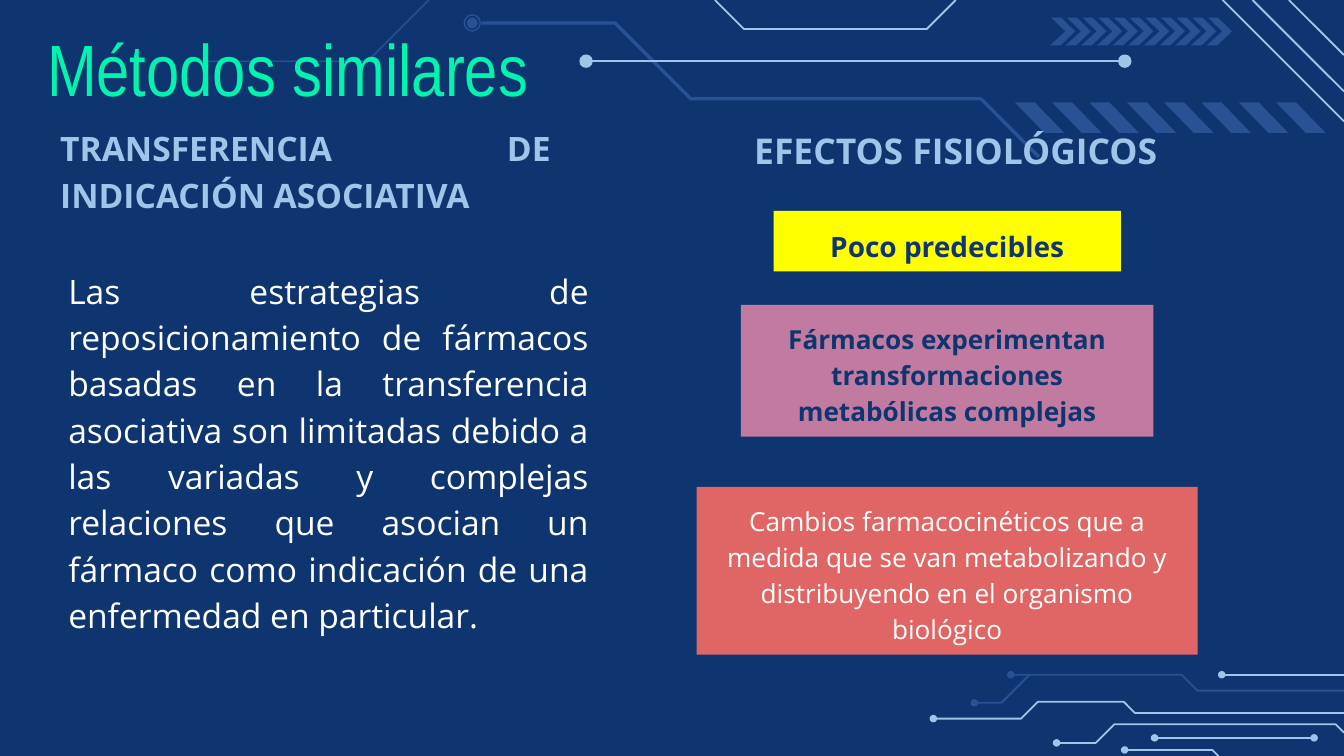
"""Build the slide "Métodos similares" on a circuit-board background."""
import pptx
import pptx.dml.color
import pptx.enum.shapes
import pptx.enum.text
import pptx.oxml.ns
import pptx.util
from lxml import etree

Pt = pptx.util.Pt
ALIGN = pptx.enum.text.PP_ALIGN
ANCHOR = pptx.enum.text.MSO_ANCHOR
FIT = pptx.enum.text.MSO_AUTO_SIZE
SHAPES = pptx.enum.shapes.MSO_SHAPE

COLORS = {
    "navy": "0F3570", "blue": "285293", "sky": "9FC5E8", "green": "00F4AD",
    "white": "FFFFFF", "yellow": "FFFF00", "mauve": "C27BA0", "coral": "E06666",
}


class CircuitSlide:
    """Holds the style and the current slide."""

    def __init__(self, deck):
        """Add a slide with a plain navy background."""
        self.slide = deck.slides.add_slide(deck.slide_layouts[5])
        self.paint(self.slide.background.fill, "navy")

    def rgb(self, color):
        """Return the named colour."""
        return pptx.dml.color.RGBColor.from_string(COLORS[color])

    def paint(self, fill, color):
        """Make a fill solid in the named colour."""
        fill.solid()
        fill.fore_color.rgb = self.rgb(color)

    def stroke(self, line, color, width):
        """Set the colour and width of a line."""
        self.paint(line.fill, color)
        line.width = Pt(width)

    def set_text(self, shape, text, color, size, align, font="Open Sans", bold=False,
                 inset=7.2, anchor=ANCHOR.TOP, fit=FIT.SHAPE_TO_FIT_TEXT, spacing=1.15):
        """Put one formatted paragraph into a shape."""
        frame = shape.text_frame
        frame.text = text
        paragraph = frame.paragraphs[0]
        margins = dict.fromkeys(
            ("margin_left", "margin_top", "margin_right", "margin_bottom"), Pt(inset))
        formats = [
            (frame, {"word_wrap": True, "auto_size": fit, "vertical_anchor": anchor, **margins}),
            (paragraph, {"alignment": align, "line_spacing": spacing}),
            (paragraph.runs[0].font, {"name": font, "size": Pt(size), "bold": bold}),
        ]
        for target, values in formats:
            for name, value in values.items():
                setattr(target, name, value)
        paragraph.runs[0].font.color.rgb = self.rgb(color)

    def title(self, text, box):
        """Place the title placeholder in front of the background traces."""
        heading = self.slide.shapes.title
        heading.left, heading.top, heading.width, heading.height = map(Pt, box)
        self.set_text(heading, text, "green", 39, ALIGN.LEFT, font="Arial Narrow",
                      inset=0, anchor=ANCHOR.MIDDLE, fit=FIT.NONE, spacing=1)
        heading.element.getparent().append(heading.element)

    def text(self, text, box, color, size, bold=False):
        """Add a justified text box."""
        column = self.slide.shapes.add_textbox(*map(Pt, box))
        self.set_text(column, text, color, size, ALIGN.JUSTIFY, bold=bold)

    def card(self, text, box, fill, color, size, bold=True):
        """Add a filled rectangle with centred text."""
        effect = self.slide.shapes.add_shape(SHAPES.RECTANGLE, *map(Pt, box))
        effect.shadow.inherit = False
        self.paint(effect.fill, fill)
        effect.line.fill.background()
        self.set_text(effect, text, color, size, ALIGN.CENTER, bold=bold)

    def dot(self, center, diameter, color):
        """Add a filled circle around a centre."""
        x, y = center
        box = (x - diameter / 2, y - diameter / 2, diameter, diameter)
        node = self.slide.shapes.add_shape(SHAPES.OVAL, *map(Pt, box))
        node.shadow.inherit = False
        self.paint(node.fill, color)
        node.line.fill.background()
        return node

    def ring(self, center, diameter, color):
        """Add an open circle around a centre."""
        circle = self.dot(center, diameter, color)
        circle.fill.background()
        self.stroke(circle.line, color, 0.75)

    def outline(self, points, closed):
        """Add a freeform through the points."""
        start, *rest = [(Pt(x), Pt(y)) for x, y in points]
        builder = self.slide.shapes.build_freeform(*start)
        builder.add_line_segments(rest, close=closed)
        form = builder.convert_to_shape()
        form.shadow.inherit = False
        return form

    def trace(self, points, color, width=1.0):
        """Add an open circuit trace, straight or bent."""
        if len(points) == 2:
            (x1, y1), (x2, y2) = points
            wire = self.slide.shapes.add_connector(
                pptx.enum.shapes.MSO_CONNECTOR.STRAIGHT, Pt(x1), Pt(y1), Pt(x2), Pt(y2))
            self.stroke(wire.line, color, width)
            etree.SubElement(wire.element.spPr, pptx.oxml.ns.qn("a:effectLst"))
        else:
            wire = self.outline(points, closed=False)
            wire.fill.background()
            self.stroke(wire.line, color, width)

    def row(self, points, left, top, step, count, color):
        """Repeat a filled outline at equal steps."""
        for index in range(count):
            mark = self.outline([(left + index * step + x, top + y) for x, y in points], True)
            self.paint(mark.fill, color)
            mark.line.fill.background()


def draw_background(page):
    """Draw the circuit traces, dots, stripes and chevrons."""
    page.trace([(383, 0), (398.5, 15.5), (496.5, 15.5), (512, 0)], "sky")
    for x, y in [(655, 65), (671, 49), (690.5, 29.5)]:
        page.trace([(x, 0), (720, y)], "sky")
    page.trace([(258, 12.3), (329.5, 12.3), (370, 52.9), (525.5, 52.9), (556.5, 84)],
               "blue", 1.75)
    page.trace([(108, 32.8), (197, 32.8), (229.8, 0)], "blue", 0.75)
    page.ring((253, 12.3), 8.6, "blue")
    page.dot((253, 12.3), 5.8, "blue")
    page.trace([(314, 32.8), (602.6, 32.8)], "sky")
    for x in (314, 602.6):
        page.dot((x, 32.8), 7.2, "sky")
    page.row([(0, 0), (10.7, 0), (26.6, 16.4), (16, 16.4)], 543.6, 54.8, 20, 8, "blue")
    page.row([(0, 14.9), (8.3, 7.4), (0.7, 0), (6, 0), (13.5, 7.4), (5.6, 14.9)],
             562.5, 9.4, 8.4, 11, "blue")

    lower_traces = [
        ("sky", [(500, 385), (547, 385), (556, 376), (602, 376), (608, 382), (720, 382)]),
        ("blue", [(541.5, 361.5), (633, 361.5), (641.5, 370), (720, 370)]),
        ("blue", [(522, 376.5), (536.5, 376.5), (551.5, 361.5)]),
        ("sky", [(654.5, 361.5), (720, 361.5)]),
        ("sky", [(566, 398), (587, 398), (597, 388), (715.5, 388), (720, 392.5)]),
        ("sky", [(618.5, 395.3), (704, 395.3)]),
        ("sky", [(602.5, 401.8), (649.5, 401.8), (652.7, 405)]),
    ]
    for color, points in lower_traces:
        page.trace(points, color)
        page.dot(points[0], 4, color)
    page.dot((704, 395.3), 4, "sky")


def main():
    """Build and save the deck."""
    deck = pptx.Presentation()
    deck.slide_width, deck.slide_height = Pt(720), Pt(405)
    page = CircuitSlide(deck)
    draw_background(page)
    page.title("Métodos similares", (25.2, 13.7, 268.6, 44.6))
    page.text("TRANSFERENCIA DE INDICACIÓN ASOCIATIVA", (25.2, 58.3, 277, 61.2),
              "sky", 18, bold=True)
    page.text("Las estrategias de reposicionamiento de fármacos basadas en la transferencia "
              "asociativa son limitadas debido a las variadas y complejas relaciones que "
              "asocian un fármaco como indicación de una enfermedad en particular.",
              (29.5, 134.6, 293, 211.7), "white", 18)
    page.text("EFECTOS FISIOLÓGICOS", (397, 58.3, 277, 37.4), "sky", 19, bold=True)
    page.card("Poco predecibles", (414.5, 113, 186, 32.4), "yellow", "navy", 15)
    page.card("Fármacos experimentan transformaciones metabólicas complejas",
              (397, 163.4, 221, 70.5), "mauve", "navy", 14)
    page.card("Cambios farmacocinéticos que a medida que se van metabolizando y "
              "distribuyendo en el organismo biológico",
              (373.2, 260.8, 268.5, 90), "coral", "white", 14, bold=False)
    deck.save("out.pptx")


if __name__ == "__main__":
    main()
